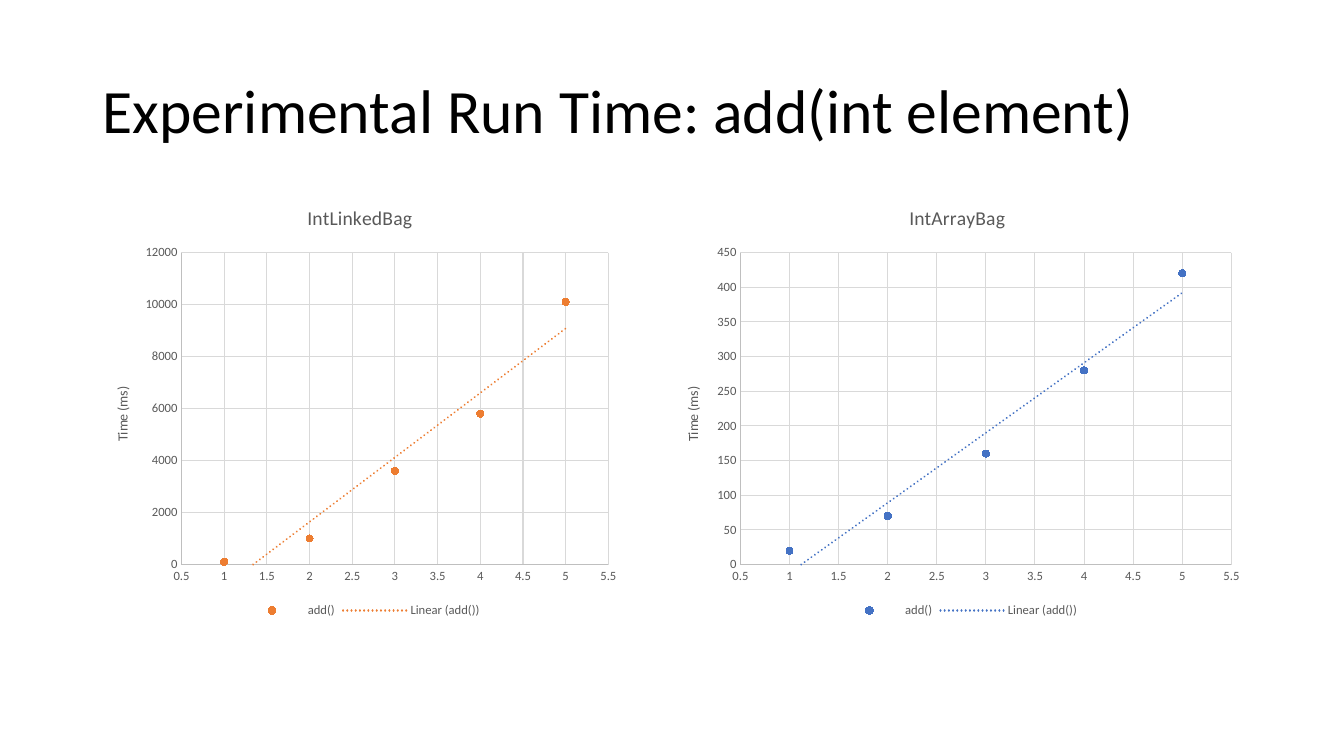
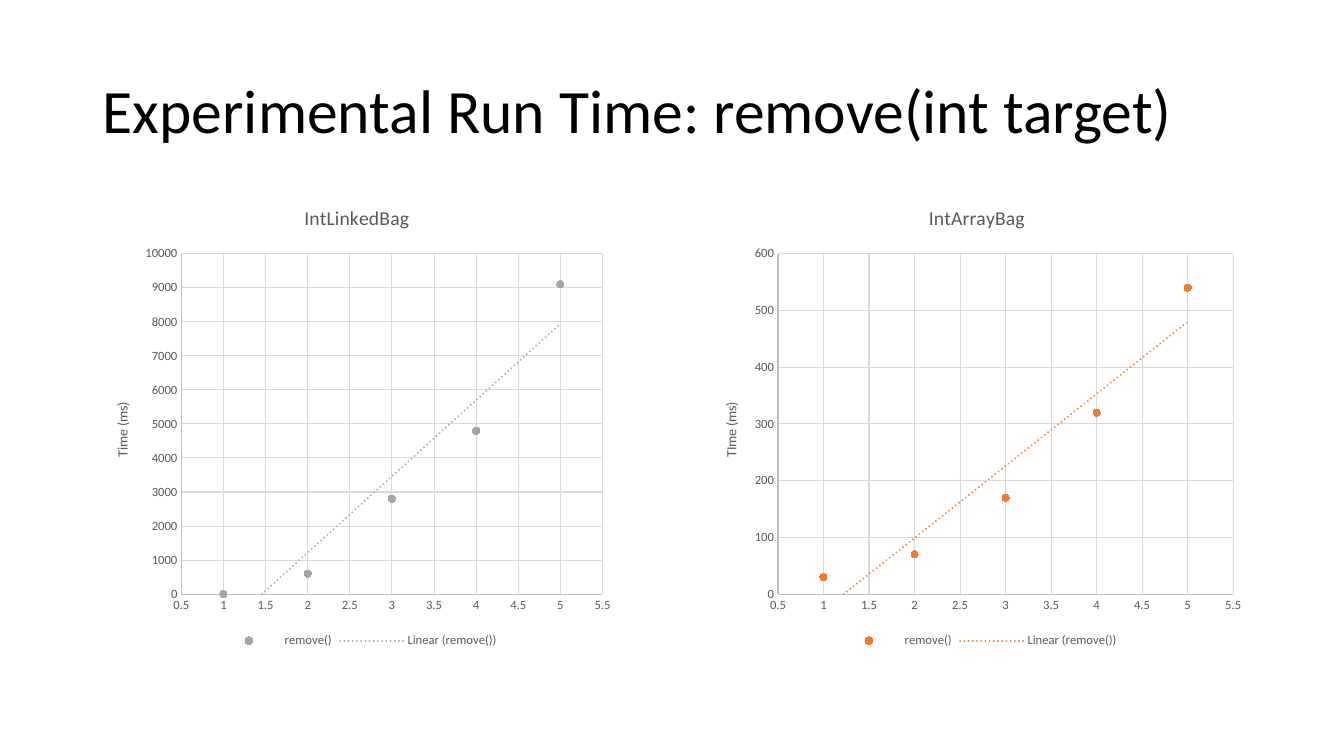
from lxml import etree
from pptx import Presentation
from pptx import dml
from pptx import util as u
from pptx.chart import data as chart_data
from pptx.dml.color import RGBColor
from pptx.enum import chart as charts, text
from pptx.oxml import parse_xml
from pptx.oxml.ns import nsdecls

FONT = "Calibri"
BLACK = RGBColor(0x00, 0x00, 0x00)
GRAY_TEXT = RGBColor(0x59, 0x59, 0x59)
AXIS_GRAY = RGBColor(0xBF, 0xBF, 0xBF)
GRID_GRAY = RGBColor(0xD9, 0xD9, 0xD9)
BLUE = RGBColor(0x44, 0x72, 0xC4)
ORANGE = RGBColor(0xED, 0x7D, 0x31)
SILVER = RGBColor(0xA5, 0xA5, 0xA5)

MARGIN = 0.92
CONTENT_WIDTH = 11.5
CHART_TOP = 1.85
RUNS = (1, 2, 3, 4, 5)

SLIDES = [
    {
        "title": "Experimental Run Time: add(int element)",
        "series": "add()",
        "height": 4.32,
        "charts": [
            {"name": "IntArrayBag", "left": 6.58, "width": 5.83, "color": BLUE,
             "times": (20, 70, 160, 280, 420), "top_value": 450, "step": 50,
             "axis_title": "Time (ms)"},
            {"name": "IntLinkedBag", "left": MARGIN, "width": 5.3, "color": ORANGE,
             "times": (100, 1000, 3600, 5800, 10100), "top_value": 12000, "step": 2000,
             "axis_title": "Time (ms)"},
        ],
    },
    {
        "title": "Experimental Run Time: remove(int target)",
        "series": "remove()",
        "height": 4.62,
        "charts": [
            {"name": "IntLinkedBag", "left": MARGIN, "width": 5.24, "color": SILVER,
             "times": (0, 600, 2800, 4800, 9100), "top_value": 10000, "step": 1000,
             "axis_title": "Time (ms)"},
            {"name": "IntArrayBag", "left": 6.96, "width": 5.46, "color": ORANGE,
             "times": (30, 70, 170, 320, 540), "top_value": 600, "step": 100,
             "axis_title": "TIme (ms)"},
        ],
    },
]


def style_font(font, size, color):
    font.name = FONT
    font.size = u.Pt(size)
    font.bold = False
    font.color.rgb = color


def write_title(page, wording):
    title = page.shapes.title
    title.left, title.top = u.Inches(MARGIN), u.Inches(0.4)
    title.width, title.height = u.Inches(CONTENT_WIDTH), u.Inches(1.45)
    frame = title.text_frame
    frame.text = wording
    frame.auto_size = text.MSO_AUTO_SIZE.NONE
    frame.vertical_anchor = text.MSO_ANCHOR.MIDDLE
    para = frame.paragraphs[0]
    para.alignment = text.PP_ALIGN.LEFT
    para.line_spacing = 0.9
    style_font(para.font, 44, BLACK)


def write_chart_text(frame, wording, size):
    frame.text = wording
    style_font(frame.paragraphs[0].font, size, GRAY_TEXT)


def style_axis(axis, low, high, step):
    axis.minimum_scale, axis.maximum_scale = low, high
    axis.major_unit = step
    axis.major_tick_mark = axis.minor_tick_mark = charts.XL_TICK_MARK.NONE
    axis.has_major_gridlines = True
    for line, color in ((axis.format.line, AXIS_GRAY),
                        (axis.major_gridlines.format.line, GRID_GRAY)):
        line.color.rgb = color
        line.width = u.Pt(0.75)
    style_font(axis.tick_labels.font, 9, GRAY_TEXT)


def style_series(series, color):
    series.format.line.fill.background()
    marker = series.marker
    marker.style = charts.XL_MARKER_STYLE.CIRCLE
    marker.size = 5
    marker.format.fill.solid()
    marker.format.fill.fore_color.rgb = color
    marker.format.line.color.rgb = color


def add_trend_line(chart, color):
    trend = parse_xml(
        f'<c:trendline {nsdecls("c", "a")}><c:spPr>'
        f'<a:ln w="{u.Pt(1.5)}" cap="rnd"><a:solidFill><a:srgbClr val="{color}"/></a:solidFill>'
        '<a:prstDash val="sysDot"/></a:ln></c:spPr>'
        '<c:trendlineType val="linear"/><c:dispRSqr val="0"/><c:dispEq val="0"/></c:trendline>')
    chart.element.xpath(".//c:ser/c:xVal")[0].addprevious(trend)


def add_legend(chart):
    chart.has_legend = True
    legend = chart.legend
    legend.position = charts.XL_LEGEND_POSITION.BOTTOM
    legend.include_in_layout = False
    style_font(legend.font, 9, GRAY_TEXT)
    trend_entry = parse_xml(
        f'<c:legendEntry {nsdecls("c")}><c:idx val="1"/><c:delete val="1"/></c:legendEntry>')
    chart.element.xpath(".//c:legendPos")[0].addnext(trend_entry)


def add_time_chart(page, series_name, height, item):
    data = chart_data.XyChartData()
    points = data.add_series(series_name)
    for run, time in zip(RUNS, item["times"]):
        points.add_data_point(run, time)
    chart = page.shapes.add_chart(
        charts.XL_CHART_TYPE.XY_SCATTER, u.Inches(item["left"]), u.Inches(CHART_TOP),
        u.Inches(item["width"]), u.Inches(height), data).chart
    style_font(chart.font, 10, BLACK)
    chart.has_title = True
    write_chart_text(chart.chart_title.text_frame, item["name"], 14)
    style_axis(chart.category_axis, 0.5, 5.5, 0.5)
    style_axis(chart.value_axis, 0, item["top_value"], item["step"])
    axis_title = chart.value_axis.axis_title
    write_chart_text(axis_title.text_frame, item["axis_title"], 10)
    axis_title.element.xpath(".//a:bodyPr")[0].set("rot", "-5400000")
    plot = chart.plots[0]
    plot.vary_by_categories = False
    style_series(plot.series[0], item["color"])
    add_trend_line(chart, item["color"])
    add_legend(chart)


def main():
    deck = Presentation()
    deck.slide_width, deck.slide_height = u.Inches(13.33), u.Inches(7.5)
    title_only = deck.slide_layouts[5]
    for content in SLIDES:
        page = deck.slides.add_slide(title_only)
        write_title(page, content["title"])
        for item in content["charts"]:
            add_time_chart(page, content["series"], content["height"], item)
    deck.save("out.pptx")


if __name__ == "__main__":
    main()
